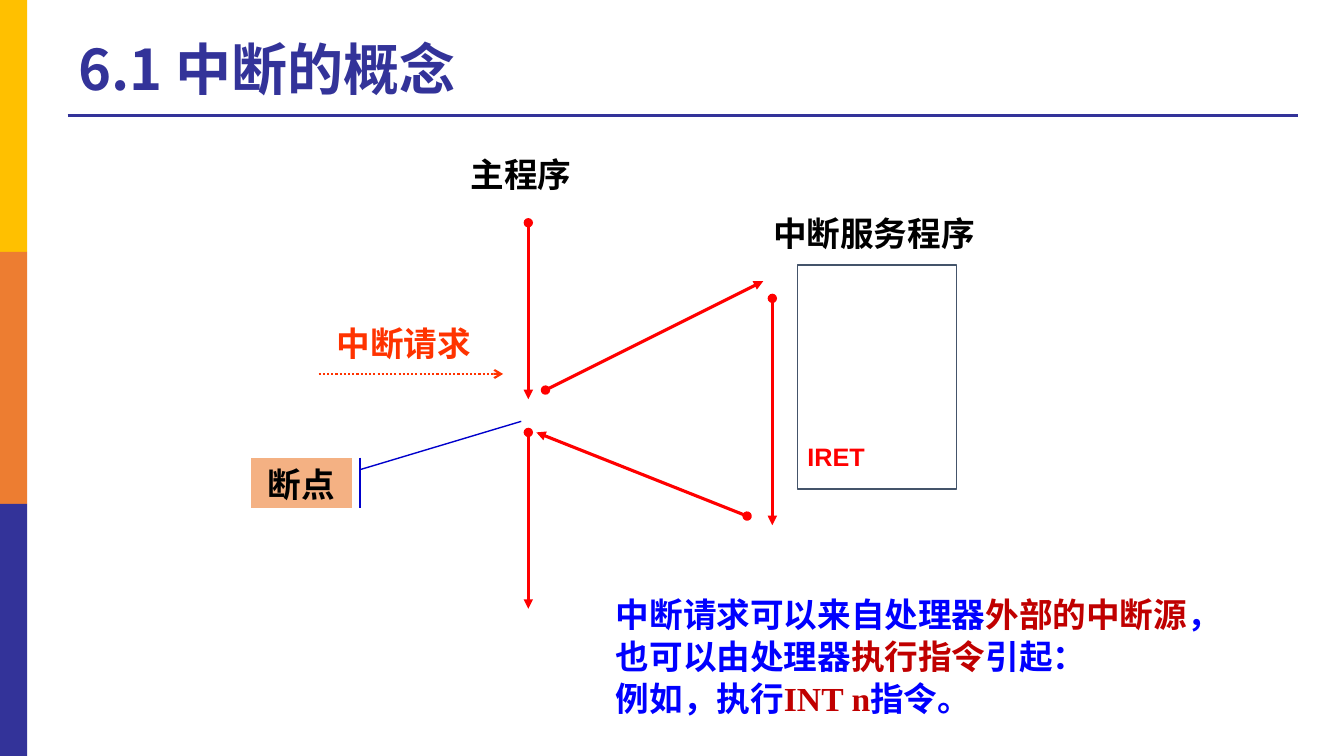
import pptx
import pptx.dml.color
import pptx.enum.dml
import pptx.enum.shapes
import pptx.enum.text
import pptx.oxml.ns
import pptx.util
from lxml import etree

Inches = pptx.util.Inches
Pt = pptx.util.Pt
RGBColor = pptx.dml.color.RGBColor
SHAPE = pptx.enum.shapes.MSO_SHAPE
ANCHOR = pptx.enum.text.MSO_ANCHOR
ALIGN = pptx.enum.text.PP_ALIGN
qn = pptx.oxml.ns.qn

NAVY = RGBColor(0x33, 0x33, 0x99)
GOLD = RGBColor(0xFF, 0xC0, 0x00)
ORANGE = RGBColor(0xED, 0x7D, 0x31)
PEACH = RGBColor(0xF4, 0xB1, 0x83)
SLATE = RGBColor(0x44, 0x54, 0x6A)
BLACK = RGBColor(0x00, 0x00, 0x00)
RED = RGBColor(0xFF, 0x00, 0x00)
REQUEST_RED = RGBColor(0xFF, 0x33, 0x00)
DARK_RED = RGBColor(0xC0, 0x00, 0x00)
BLUE = RGBColor(0x00, 0x00, 0xFF)
CALLOUT_BLUE = RGBColor(0x00, 0x00, 0xCC)
CJK = "Noto Sans CJK SC"


def write(paragraph, text, *, size=24, color=BLACK, font=CJK):
    """Append a bold run, setting both its Latin and East Asian typefaces."""
    run = paragraph.add_run()
    run.text = text
    run.font.size = Pt(size)
    run.font.bold = True
    run.font.color.rgb = color
    run.font.name = font
    latin = run.font._element.find(qn("a:latin"))
    east_asian = etree.Element(qn("a:ea"), typeface=CJK)
    latin.addnext(east_asian)


class InterruptSlide:
    def __init__(self, slide):
        self.slide = slide
        self.line_height = Pt(30)

    def title(self, text, left, top, width, height):
        heading = self.slide.shapes.title
        heading.left, heading.top = Inches(left), Inches(top)
        heading.width, heading.height = Inches(width), Inches(height)
        frame = heading.text_frame
        frame.word_wrap = True
        frame.vertical_anchor = ANCHOR.MIDDLE
        paragraph = frame.paragraphs[0]
        paragraph.alignment = ALIGN.LEFT
        paragraph.line_spacing = 0.9
        write(paragraph, text, size=40, color=NAVY)

    def block(self, left, top, width, height, kind=SHAPE.RECTANGLE,
              fill=None, outline=None):
        block = self.slide.shapes.add_shape(
            kind, Inches(left), Inches(top), Inches(width), Inches(height))
        block.shadow.inherit = False
        if fill is None:
            block.fill.background()
        else:
            block.fill.solid()
            block.fill.fore_color.rgb = fill
        if outline is None:
            block.line.fill.background()
        else:
            block.line.color.rgb = outline
            block.line.width = Pt(1)
        return block

    def text(self, left, top, width, height, *lines):
        """Add a text box; each line is a list of (text, format) runs."""
        box = self.slide.shapes.add_textbox(
            Inches(left), Inches(top), Inches(width), Inches(height))
        frame = box.text_frame
        frame.word_wrap = True
        for index, runs in enumerate(lines):
            paragraph = frame.add_paragraph() if index else frame.paragraphs[0]
            paragraph.line_spacing = self.line_height
            for words, style in runs:
                write(paragraph, words, **style)

    def line(self, start, end, color=RED, width=2.25, dash=None,
             head=None, tail=None):
        line = self.slide.shapes.add_connector(
            pptx.enum.shapes.MSO_CONNECTOR.STRAIGHT,
            *(Inches(value) for value in (*start, *end)))
        line.line.color.rgb = color
        line.line.width = Pt(width)
        if dash is not None:
            line.line.dash_style = dash
        stroke = line.line._get_or_add_ln()
        for tag, arrow in (("a:headEnd", head), ("a:tailEnd", tail)):
            if arrow:
                etree.SubElement(stroke, qn(tag), type=arrow)
        etree.SubElement(line._element.spPr, qn("a:effectLst"))


def main():
    deck = pptx.Presentation()
    deck.slide_width, deck.slide_height = Inches(13.33), Inches(7.5)
    page = InterruptSlide(deck.slides.add_slide(deck.slide_layouts[5]))

    page.line((0.67, 1.15), (12.87, 1.15), color=NAVY)
    for index, color in enumerate((GOLD, ORANGE, NAVY)):
        page.block(0, 2.5 * index, 0.27, 2.5, fill=color)
    page.title("6.1 中断的概念", 0.68, 0.28, 9.91, 0.87)

    for words, color, left, top, width in (
        ("主程序", BLACK, 4.57, 1.46, 1.42),
        ("中断服务程序", BLACK, 7.57, 2.05, 2.5),
        ("中断请求", REQUEST_RED, 3.24, 3.14, 1.75),
    ):
        page.text(left, top, width, 0.5, [(words, {"color": color})])

    service_routine = page.block(7.91, 2.63, 1.58, 2.22, outline=SLATE)
    frame = service_routine.text_frame
    frame.vertical_anchor = ANCHOR.BOTTOM
    frame.margin_bottom = Inches(0.17)
    frame.paragraphs[0].alignment = ALIGN.LEFT
    write(frame.paragraphs[0], "IRET", size=18, color=RED, font="Arial")

    control_flow = (
        ((5.24, 2.21), (5.24, 3.96)),
        ((5.41, 3.87), (7.57, 2.79)),
        ((7.66, 2.96), (7.66, 5.21)),
        ((7.41, 5.12), (5.32, 4.29)),
        ((5.24, 4.29), (5.24, 6.04)),
    )
    for start, end in control_flow:
        page.line(start, end, head="oval", tail="triangle")
    page.line((3.16, 3.71), (4.99, 3.71), color=REQUEST_RED, width=1.5,
              dash=pptx.enum.dml.MSO_LINE.ROUND_DOT, tail="arrow")

    breakpoint_note = page.block(2.49, 4.54, 1, 0.5, SHAPE.LINE_CALLOUT_1_ACCENT_BAR,
                                 fill=PEACH, outline=CALLOUT_BLUE)
    for index, value in enumerate((0.24, 1.08, -0.72, 2.68)):
        breakpoint_note.adjustments[index] = value
    frame = breakpoint_note.text_frame
    frame.vertical_anchor = ANCHOR.TOP
    frame.paragraphs[0].alignment = ALIGN.CENTER
    frame.paragraphs[0].line_spacing = page.line_height
    write(frame.paragraphs[0], "断点")

    plain, key = {"color": BLUE}, {"color": DARK_RED}
    page.text(
        6.01, 5.83, 6.08, 1.35,
        [("中断请求可以来自处理器", plain), ("外部的中断源", key),
         ("，也可以由处理器", plain), ("执行指令", key), ("引起：", plain)],
        [("例如，执行", plain),
         ("INT n", {"color": DARK_RED, "font": "Times New Roman"}),
         ("指令。", plain)],
    )

    deck.save("out.pptx")


if __name__ == "__main__":
    main()
